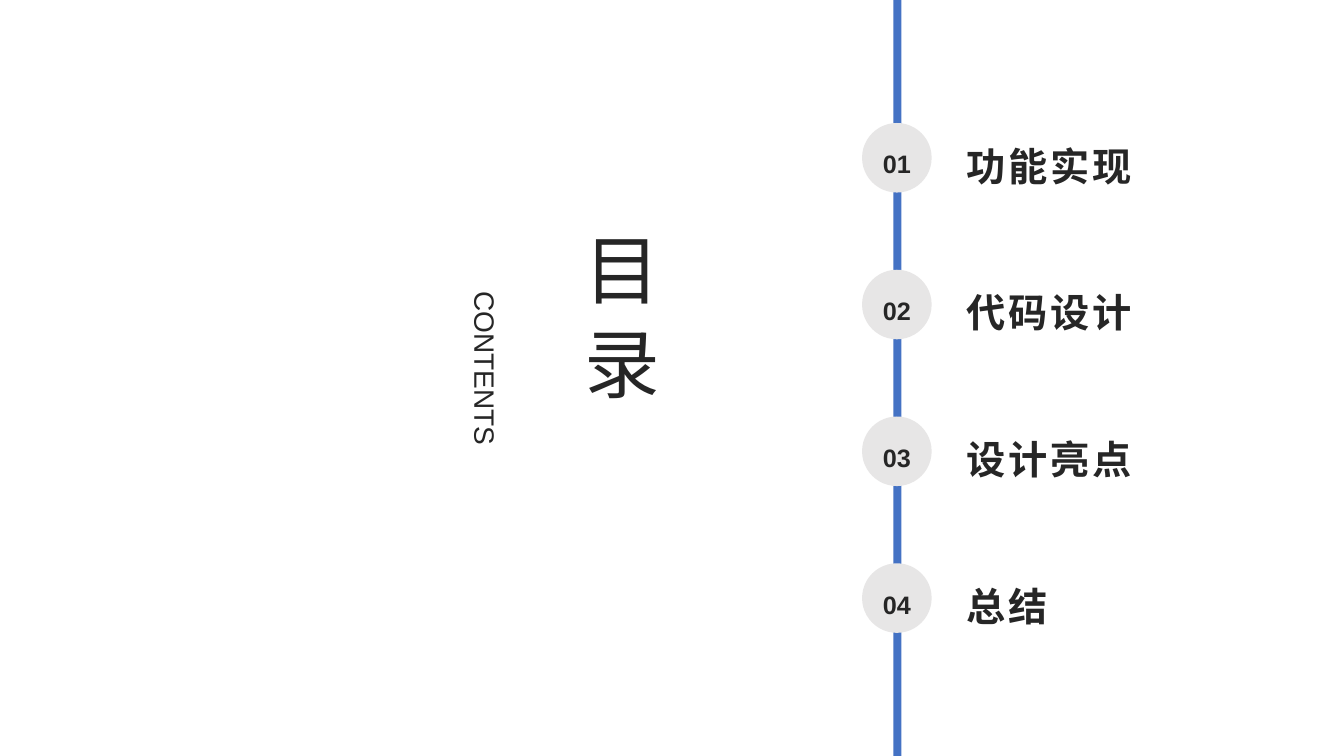
from pptx import Presentation
from pptx.dml.color import RGBColor
from pptx.enum import shapes, text
from pptx.util import Inches, Pt

BLUE = RGBColor(0x44, 0x72, 0xC4)
PALE_GREY = RGBColor(0xE7, 0xE6, 0xE6)
INK = RGBColor(0x26, 0x26, 0x26)

TOPICS = ["功能实现", "代码设计", "设计亮点", "总结"]
FIRST_TOP = 1.22
STEP = 1.456
CIRCLE = 0.69


def write(frame, words, size, spacing, align=text.PP_ALIGN.LEFT, bold=False):
    paragraph = frame.paragraphs[0]
    paragraph.alignment = align
    paragraph.line_spacing = spacing
    run = paragraph.add_run()
    run.text = words
    run.font.name = "Arial"
    run.font.size = Pt(size)
    run.font.bold = bold
    run.font.color.rgb = INK
    return run


def add_solid(slide, kind, left, top, width, height, colour):
    solid = slide.shapes.add_shape(
        kind, Inches(left), Inches(top), Inches(width), Inches(height))
    solid.shadow.inherit = False
    solid.fill.solid()
    solid.fill.fore_color.rgb = colour
    solid.line.fill.background()
    return solid


def add_box(slide, left, top, width, height):
    box = slide.shapes.add_textbox(
        Inches(left), Inches(top), Inches(width), Inches(height))
    box.text_frame.word_wrap = True
    return box.text_frame


def set_vertical(frame):
    """Run the text downwards, starting at the top right."""
    frame.word_wrap = True
    frame.auto_size = text.MSO_AUTO_SIZE.NONE
    frame.vertical_anchor = text.MSO_ANCHOR.TOP
    frame._txBody.bodyPr.set("vert", "eaVert")


def add_heading(slide):
    title = slide.shapes.title
    title.left, title.top = Inches(5.71), Inches(2.25)
    title.width, title.height = Inches(1.17), Inches(3.12)
    set_vertical(title.text_frame)
    write(title.text_frame, "目 录", 54, 1.2)

    subtitle = add_box(slide, 4.53, 2.79, 0.57, 1.92)
    set_vertical(subtitle)
    write(subtitle, "CONTENTS", 20, 1.2)


def add_topic(slide, number, topic):
    top = FIRST_TOP + (number - 1) * STEP
    circle = add_solid(slide, shapes.MSO_SHAPE.OVAL,
                       8.55, top, CIRCLE, CIRCLE, PALE_GREY)
    circle.text_frame.vertical_anchor = text.MSO_ANCHOR.MIDDLE
    write(circle.text_frame, f"{number:02d}", 18, 1.4,
          text.PP_ALIGN.CENTER, bold=True)

    label = add_box(slide, 9.49, top - 0.22, 2.69, 1.14)
    label.vertical_anchor = text.MSO_ANCHOR.MIDDLE
    label.margin_bottom = 0
    run = write(label, topic, 28, 1.2, bold=True)
    run._r.get_or_add_rPr().set("spc", "200")


def main():
    deck = Presentation()
    deck.slide_width, deck.slide_height = Inches(13.33), Inches(7.5)
    slide = deck.slides.add_slide(deck.slide_layouts.get_by_name("Title Only"))
    add_solid(slide, shapes.MSO_SHAPE.RECTANGLE, 8.86, 0, 0.08, 7.5, BLUE)
    for number, topic in enumerate(TOPICS, start=1):
        add_topic(slide, number, topic)
    add_heading(slide)
    deck.save("out.pptx")


if __name__ == "__main__":
    main()
